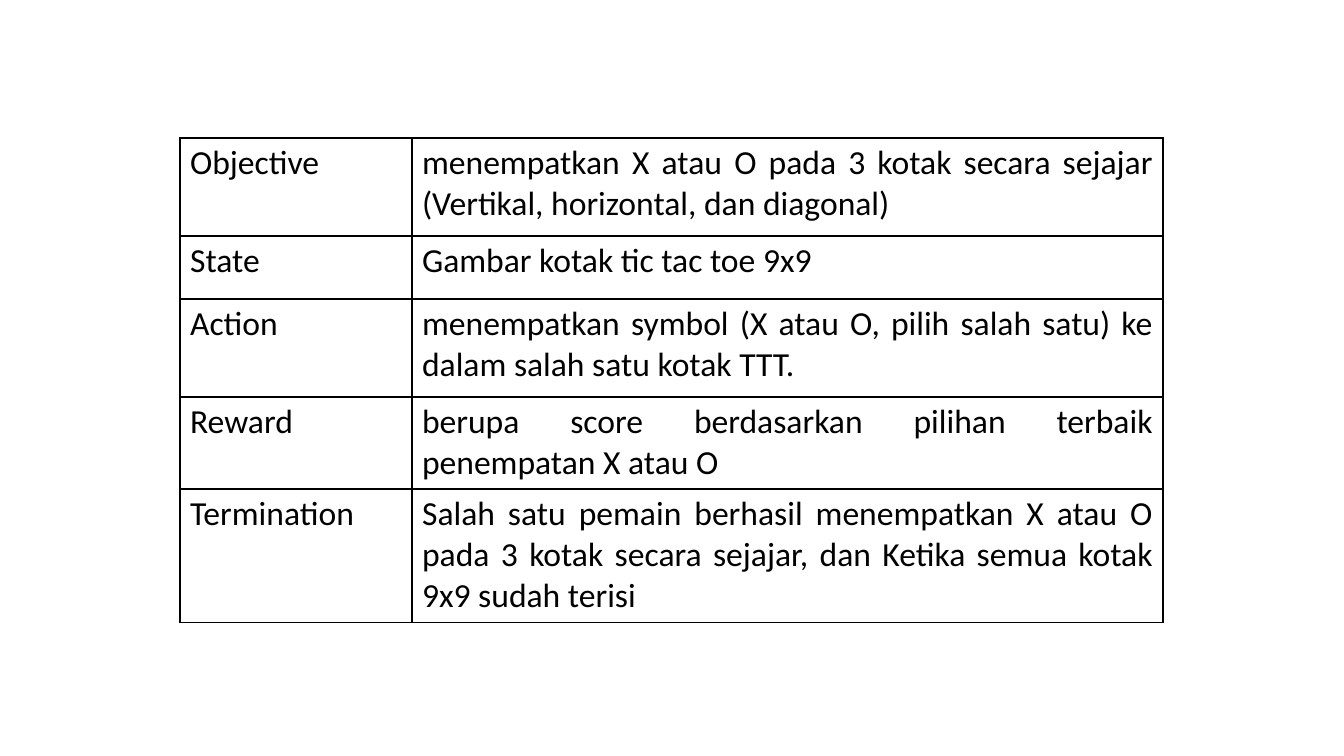
from pptx import Presentation
from pptx.dml.color import RGBColor as Rgb
from pptx.enum.text import PP_ALIGN as Align
from pptx.oxml import parse_xml as to_xml
from pptx.oxml.ns import nsdecls
from pptx.util import Pt

SCALE = 914400 / 100.8
INK = "000000"
FONT = {"name": "Calibri", "size": Pt(24), "bold": False}
COLS = (232, 751)
ROWS = (
    (98, "Objective", "menempatkan X atau O pada 3 kotak secara sejajar "
     "(Vertikal, horizontal, dan diagonal)"),
    (63, "State", "Gambar kotak tic tac toe 9x9"),
    (98, "Action", "menempatkan symbol (X atau O, pilih salah satu) ke "
     "dalam salah satu kotak TTT."),
    (92, "Reward", "berupa score berdasarkan pilihan terbaik "
     "penempatan X atau O"),
    (133, "Termination", "Salah satu pemain berhasil menempatkan X atau O "
     "pada 3 kotak secara sejajar, dan Ketika semua kotak 9x9 sudah terisi"),
)


def px(n):
    """Turn pixels into EMU."""
    return round(n * SCALE)


def color(code):
    """Turn a hex string into a colour."""
    return Rgb.from_string(code)


def frame(cell):
    """Draw a thin line on each side of a cell."""
    props = cell._tc.get_or_add_tcPr()
    for spot, side in enumerate("LRTB"):
        props.insert(spot, to_xml(
            f'<a:ln{side} {nsdecls("a")} w="{Pt(1)}"><a:solidFill>'
            f'<a:srgbClr val="{INK}"/></a:solidFill></a:ln{side}>'))


def write(cell, text):
    """Put justified text in a plain framed cell."""
    cell.fill.background()
    frame(cell)
    para = cell.text_frame.paragraphs[0]
    para.alignment = Align.JUSTIFY
    run = para.add_run()
    run.text = text
    for key, val in FONT.items():
        setattr(run.font, key, val)
    run.font.color.rgb = color(INK)


def add_grid(slide, left, top):
    """Add the table of game terms."""
    high = sum(row[0] for row in ROWS)
    box = (left, top, sum(COLS), high)
    grid = slide.shapes.add_table(len(ROWS), len(COLS), *map(px, box)).table
    grid.first_row = grid.horz_banding = False
    for col, wide in zip(grid.columns, COLS):
        col.width = px(wide)
    for row, (tall, *texts) in zip(grid.rows, ROWS):
        row.height = px(tall)
        for cell, text in zip(row.cells, texts):
            write(cell, text)


def main():
    """Build the slide and save it."""
    deck = Presentation()
    deck.slide_width, deck.slide_height = px(1344), px(756)
    slide = deck.slides.add_slide(deck.slide_layouts[6])
    add_grid(slide, 180, 138)
    deck.save("out.pptx")


main()
